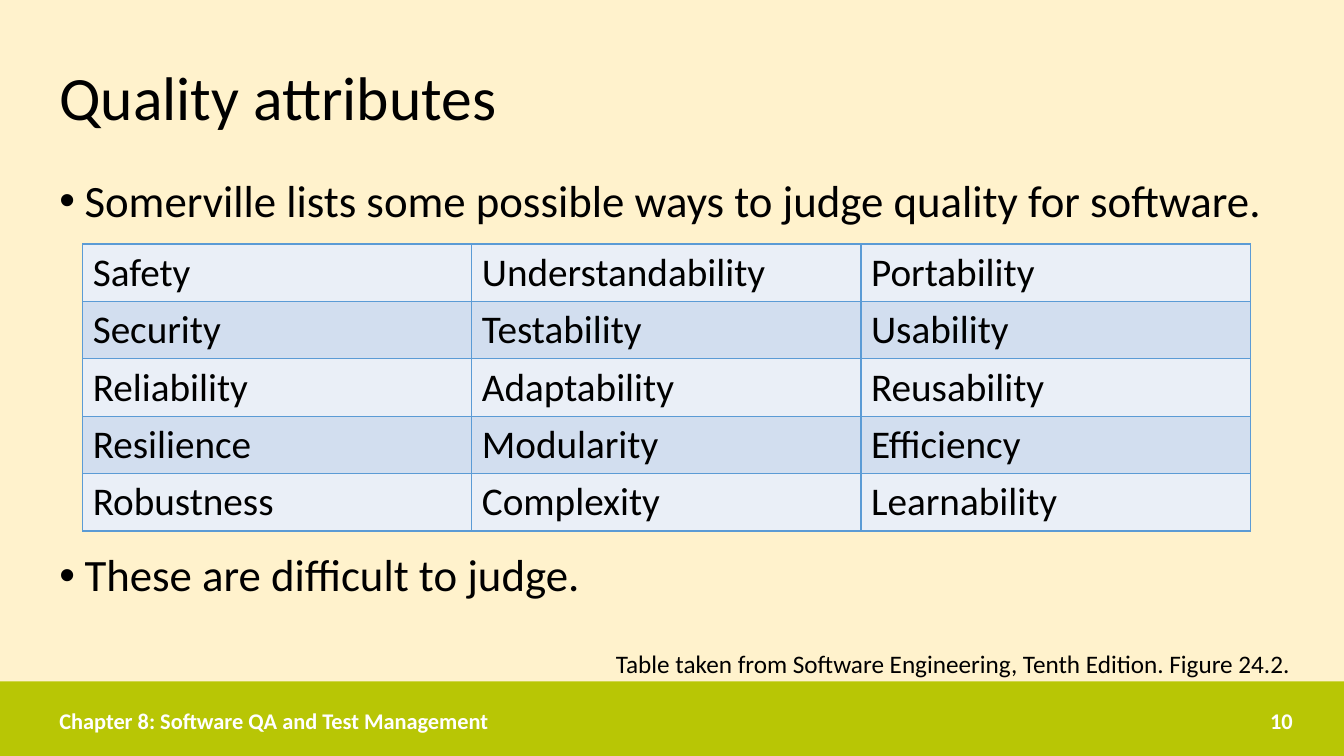
from lxml.etree import SubElement as Sub
from pptx import Presentation
from pptx.dml.color import RGBColor as RGB
from pptx.enum.shapes import MSO_SHAPE as SHAPE
from pptx.enum.text import MSO_ANCHOR as ANCHOR, PP_ALIGN as ALIGN
from pptx.oxml.ns import qn
from pptx.util import Pt

PX = 9144  # 100 px to the inch
CREAM = RGB(0xFF, 0xF2, 0xCC)
LIME = RGB(0xB8, 0xC6, 0x05)
BLACK = RGB(0, 0, 0)
WHITE = RGB(0xFF, 0xFF, 0xFF)
BLUE = RGB(0x5B, 0x9B, 0xD5)
BANDS = RGB(0xEA, 0xEF, 0xF7), RGB(0xD2, 0xDE, 0xEF)
FONT = "Calibri"
WIDE, HIGH = 1333, 750
EDGE, SPAN = 49, 1243

TRAITS = [
    ("Safety", "Understandability", "Portability"),
    ("Security", "Testability", "Usability"),
    ("Reliability", "Adaptability", "Reusability"),
    ("Resilience", "Modularity", "Efficiency"),
    ("Robustness", "Complexity", "Learnability"),
]


def scale(*box):
    return [n * PX for n in box]


def style(par, size, color=BLACK, bold=False):
    font = par.font
    font.name, font.size, font.bold = FONT, Pt(size), bold
    font.color.rgb = color


def add_text(slide, box, text, size, color=BLACK, bold=False,
             anchor=ANCHOR.MIDDLE, align=ALIGN.LEFT, wrap=True):
    frame = slide.shapes.add_textbox(*scale(*box)).text_frame
    frame.word_wrap, frame.vertical_anchor = wrap, anchor
    par = frame.paragraphs[0]
    par.text, par.alignment = text, align
    style(par, size, color, bold)
    return par


def add_points(slide, box, points, gap):
    """Bulleted lines, with gap points of room for the table between them."""
    frame = slide.shapes.add_textbox(*scale(*box)).text_frame
    frame.word_wrap = True
    for i, point in enumerate(points):
        par = frame.add_paragraph() if i else frame.paragraphs[0]
        par.text, par.line_spacing = point, 0.9
        if i:
            par.space_before = Pt(gap)
        props = par._p.get_or_add_pPr()
        props.set("marL", str(25 * PX))
        props.set("indent", str(-25 * PX))
        Sub(props, qn("a:buFont"), typeface="Arial")
        Sub(props, qn("a:buChar"), char="•")
        style(par, 32)


def add_border(cell):
    props = cell._tc.get_or_add_tcPr()
    for side in "LRTB":
        line = Sub(props, qn(f"a:ln{side}"), w=str(Pt(1)))
        fill = Sub(line, qn("a:solidFill"))
        Sub(fill, qn("a:srgbClr"), val=str(BLUE))


def add_grid(slide, box, rows):
    shape = slide.shapes.add_table(len(rows), len(rows[0]), *scale(*box))
    table = shape.table
    table.first_row = table.horz_banding = False
    for r, row in enumerate(rows):
        for c, word in enumerate(row):
            cell = table.cell(r, c)
            cell.text = word
            style(cell.text_frame.paragraphs[0], 28)
            add_border(cell)
            cell.fill.solid()
            cell.fill.fore_color.rgb = BANDS[r % 2]


def add_footer(slide, box, title, page):
    left, top, width, height = box
    bar = slide.shapes.add_shape(SHAPE.RECTANGLE, *scale(*box))
    bar.shadow.inherit = False
    bar.fill.solid()
    bar.fill.fore_color.rgb = LIME
    bar.line.fill.background()
    row = top + 19
    add_text(slide, (left + EDGE, row, 619, 40), title, 16, WHITE, True)
    add_text(slide, (left + EDGE + SPAN - 351, row, 351, 40), page, 16,
             WHITE, True, align=ALIGN.RIGHT)


def main():
    deck = Presentation()
    deck.slide_width, deck.slide_height = scale(WIDE, HIGH)
    slide = deck.slides.add_slide(deck.slide_layouts[6])
    back = slide.background.fill
    back.solid()
    back.fore_color.rgb = CREAM

    add_footer(slide, (0, 676, WIDE, 74),
               "Chapter 8: Software QA and Test Management", "10")
    title = add_text(slide, (EDGE, 27, SPAN, 145), "Quality attributes", 44)
    title.line_spacing = 0.9
    add_points(slide, (EDGE, 172, SPAN, 491), [
        "Somerville lists some possible ways to judge quality for software.",
        "These are difficult to judge.",
    ], 233)
    add_grid(slide, (82, 242, 1158, 285), TRAITS)
    add_text(slide, (601, 638, 691, 40),
             "Table taken from Software Engineering, Tenth Edition. Figure 24.2.",
             18, anchor=ANCHOR.TOP, wrap=False)
    deck.save("out.pptx")


if __name__ == "__main__":
    main()
